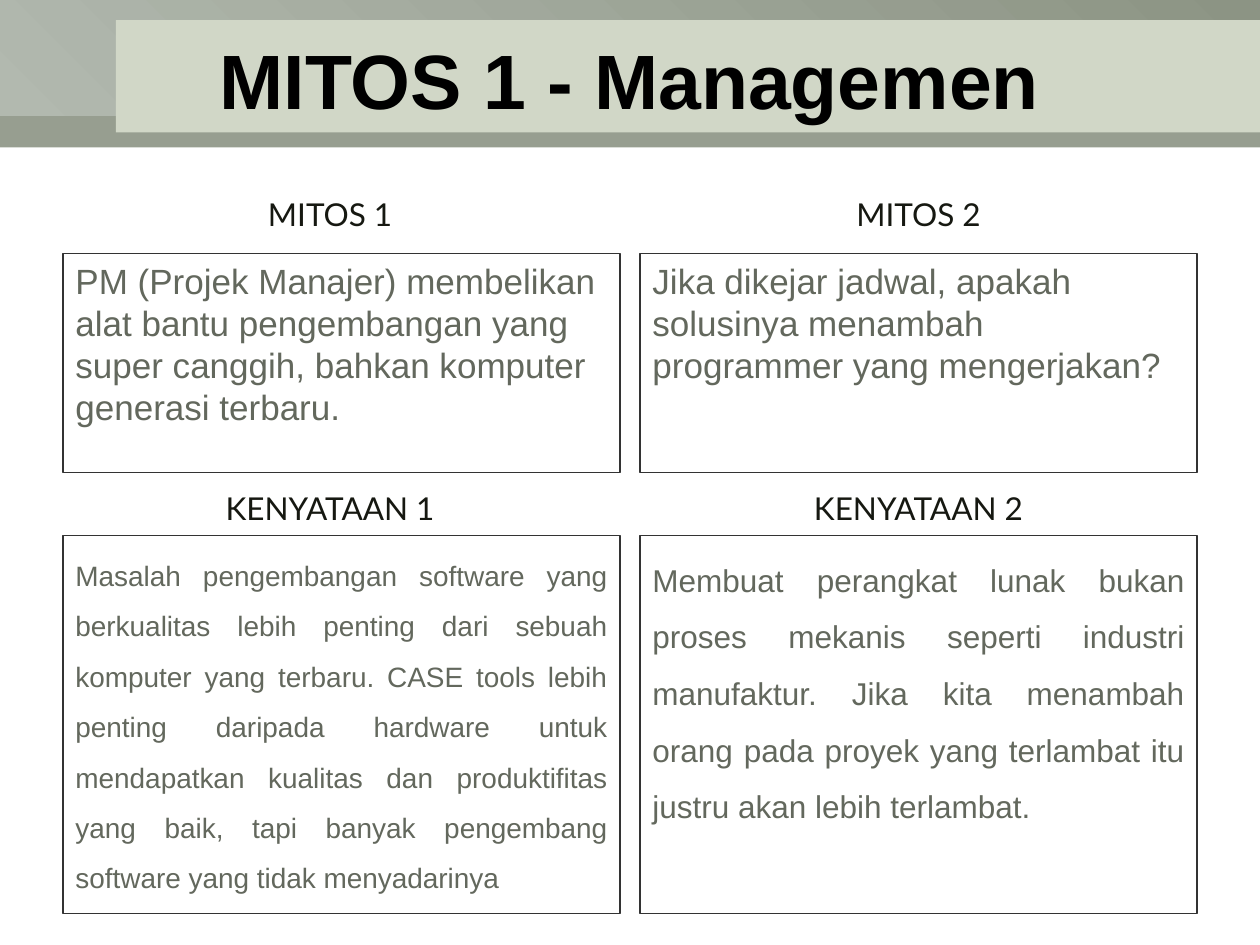
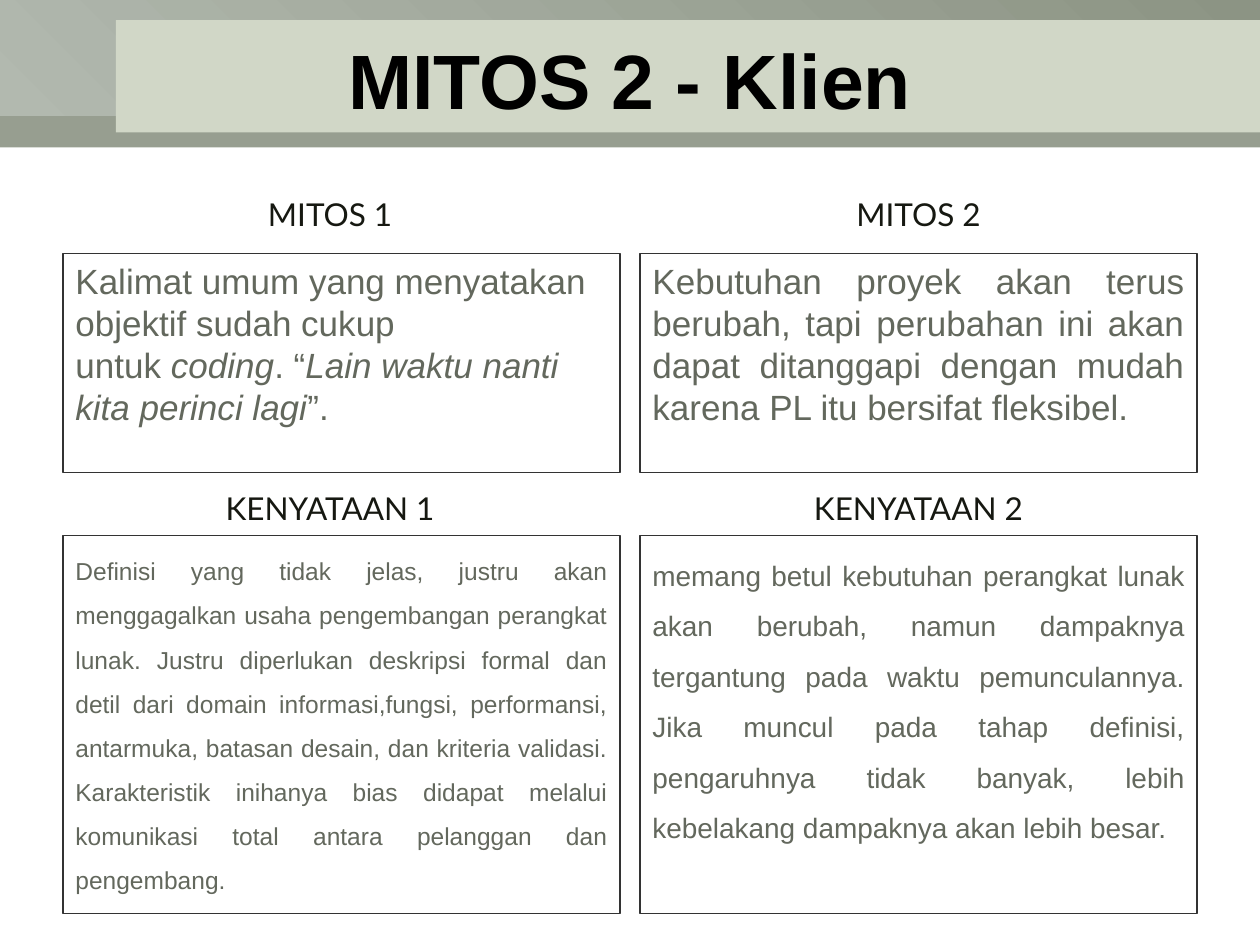
from lxml.etree import SubElement
from pptx import Presentation
from pptx.dml.color import RGBColor
from pptx.enum.shapes import MSO_SHAPE
from pptx.enum.text import MSO_ANCHOR, PP_ALIGN
from pptx.oxml.ns import qn
from pptx.util import Inches, Pt

# Shared colours
SAGE = RGBColor(0x8C, 0x94, 0x84)
MIST = RGBColor(0xB2, 0xB9, 0xAF)
PALE = RGBColor(0xD1, 0xD7, 0xC7)
BLACK = RGBColor(0, 0, 0)
BODY = RGBColor(0x63, 0x68, 0x5D)
LABEL = RGBColor(0x16, 0x18, 0x11)
BORDER = RGBColor(0x33, 0x33, 0x33)

# Shared text styles
TITLE_FONT = {"name": "Arial", "size": Pt(44), "bold": True}
BODY_FONT = {"name": "Arial"}
LABEL_FONT = {"name": "Lato", "size": Pt(18)}

# Grid: two columns; the myth row stands above the reality row
COLUMN_LEFT, COLUMN_WIDTH, COLUMN_STEP = 0.5, 4.42, 4.58
LABEL_LEFT, LABEL_WIDTH, LABEL_HEIGHT, LABEL_STEP = 1.33, 2.58, 0.4, 4.67
ROWS = [
    {"label": "MITOS", "label_top": 1.5, "top": 2.01, "height": 1.74, "leading": 1.2},
    {"label": "KENYATAAN", "label_top": 3.83, "top": 4.25, "height": 3, "leading": 1.8},
]
LEFT, JUSTIFY = PP_ALIGN.LEFT, PP_ALIGN.JUSTIFY

# Per page: title, then rows of (size, alignment, spans); every second span is italic
PAGES = [
    ("MITOS 1 - Managemen", [
        [(20, LEFT, ["PM (Projek Manajer) membelikan alat bantu pengembangan yang super "
                     "canggih, bahkan komputer generasi terbaru."]),
         (20, LEFT, ["Jika dikejar jadwal, apakah solusinya menambah\v"
                     "programmer yang mengerjakan?"])],
        [(16, JUSTIFY, ["Masalah pengembangan software yang berkualitas lebih penting dari "
                        "sebuah komputer yang terbaru. CASE tools lebih penting daripada "
                        "hardware untuk mendapatkan kualitas dan produktifitas yang baik, "
                        "tapi banyak pengembang software yang tidak menyadarinya"]),
         (18, JUSTIFY, ["Membuat perangkat lunak bukan proses mekanis seperti industri "
                        "manufaktur. Jika kita menambah orang pada proyek yang terlambat "
                        "itu justru akan lebih terlambat."])],
    ]),
    ("MITOS 2 - Klien", [
        [(20, LEFT, ["Kalimat umum yang menyatakan objektif sudah cukup\vuntuk ", "coding",
                     ". “", "Lain waktu nanti kita perinci lagi", "”."]),
         (20, JUSTIFY, ["Kebutuhan proyek akan terus berubah, tapi perubahan ini akan dapat "
                        "ditanggapi dengan mudah\vkarena PL itu bersifat fleksibel."])],
        [(14, JUSTIFY, ["Definisi yang tidak jelas, justru akan menggagalkan usaha "
                        "pengembangan perangkat lunak. Justru diperlukan deskripsi formal "
                        "dan detil dari domain informasi,fungsi, performansi, antarmuka, "
                        "batasan desain, dan kriteria validasi. Karakteristik inihanya bias "
                        "didapat melalui komunikasi total antara pelanggan dan pengembang."]),
         (16, JUSTIFY, ["memang betul kebutuhan perangkat lunak akan berubah, namun dampaknya "
                        "tergantung pada waktu pemunculannya. Jika muncul pada tahap definisi, "
                        "pengaruhnya tidak banyak, lebih kebelakang dampaknya akan lebih "
                        "besar."])],
    ]),
]


def apply_format(target, values):
    for name, value in values.items():
        setattr(target, name, value)


def add_text(box, spans, font, color, para_format):
    """Fill the first paragraph; every second span is italic."""
    box.text_frame.word_wrap = True
    para = box.text_frame.paragraphs[0]
    apply_format(para, para_format)
    apply_format(para.font, font)
    for index, text in enumerate(spans):
        for part, line in enumerate(text.split("\v")):
            if part:
                para.add_line_break()
            span = para.add_run()
            span.text = line
            apply_format(span.font, {**font, "italic": index % 2 == 1})
            span.font.color.rgb = color


def add_band(page, left, top, width, height):
    band = page.shapes.add_shape(MSO_SHAPE.RECTANGLE, Inches(left), Inches(top),
                                 Inches(width), Inches(height))
    band.shadow.inherit = False
    band.line.fill.background()
    band.fill.solid()
    return band


def move_bands_to_layout(page, layout):
    """Draw the header bands and hand them to the layout all pages share."""
    lower = add_band(page, 0, 0.75, 10, 0.42)
    lower.fill.fore_color.rgb = SAGE
    color = lower.element.spPr.find(qn("a:solidFill"))[0]
    SubElement(color, qn("a:alpha"), val="90000")

    upper = add_band(page, 0, 0, 10, 0.92)
    upper.fill.gradient()
    upper.fill.gradient_angle = 45
    for stop, shade in zip(upper.fill.gradient_stops, (MIST, SAGE)):
        stop.color.rgb = shade

    panel = add_band(page, 0.92, 0.16, 9.08, 0.89)
    panel.fill.fore_color.rgb = PALE

    for position, band in enumerate((lower, upper, panel), start=2):
        layout.shapes.element.insert(position, band.element)


def add_title(page, text):
    title = page.shapes.title
    apply_format(title, {"left": Inches(0.5), "top": Inches(0),
                         "width": Inches(9), "height": Inches(1.25)})
    title.text_frame.vertical_anchor = MSO_ANCHOR.MIDDLE
    add_text(title, [text], TITLE_FONT, BLACK, {"alignment": PP_ALIGN.CENTER})


def add_label(page, row, column):
    box = page.shapes.add_textbox(Inches(LABEL_LEFT + column * LABEL_STEP),
                                  Inches(row["label_top"]),
                                  Inches(LABEL_WIDTH), Inches(LABEL_HEIGHT))
    add_text(box, [f"{row['label']} {column + 1}"], LABEL_FONT, LABEL,
             {"alignment": PP_ALIGN.CENTER})


def add_statement(page, row, column, size, alignment, spans):
    box = page.shapes.add_textbox(Inches(COLUMN_LEFT + column * COLUMN_STEP),
                                  Inches(row["top"]),
                                  Inches(COLUMN_WIDTH), Inches(row["height"]))
    box.line.color.rgb = BORDER
    box.line.width = Pt(0.75)
    add_text(box, spans, {**BODY_FONT, "size": Pt(size)}, BODY,
             {"alignment": alignment, "line_spacing": Pt(size * row["leading"])})


def main():
    deck = Presentation()
    deck.slide_width, deck.slide_height = Inches(10), Inches(7.5)
    layout = deck.slide_layouts[5]
    for number, (title, rows) in enumerate(PAGES):
        page = deck.slides.add_slide(layout)
        if number == 0:
            move_bands_to_layout(page, layout)
        add_title(page, title)
        for row, statements in zip(ROWS, rows):
            for column, statement in enumerate(statements):
                add_label(page, row, column)
                add_statement(page, row, column, *statement)
    deck.save("out.pptx")


if __name__ == "__main__":
    main()
